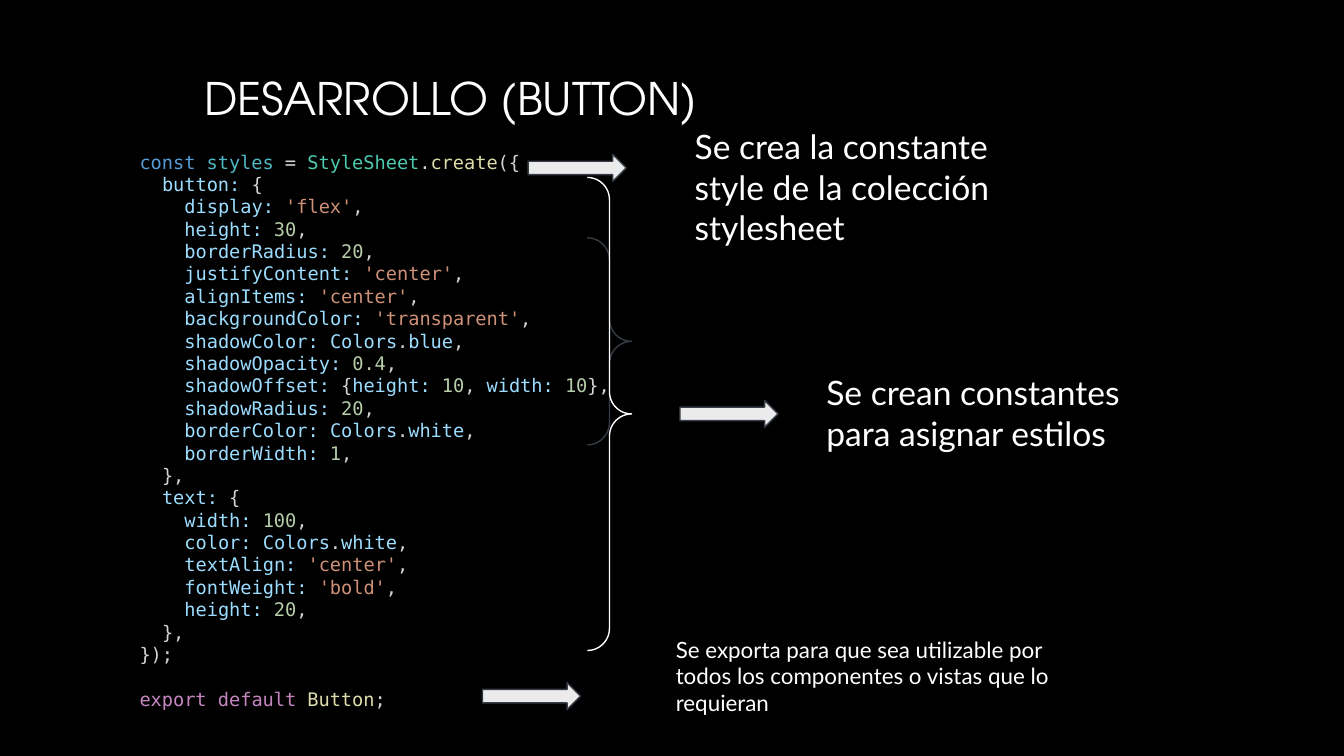
"""Build the slide that explains the button's style sheet."""
from dataclasses import dataclass

from pptx import Presentation
from pptx.dml.color import RGBColor
from pptx.enum.shapes import MSO_SHAPE
from pptx.util import Inches, Pt

TITLE = ("DESARROLLO (BUTTON)", (1.42, 0.43, 7.7, 1))
CALLOUTS = [
    ("Se crea la constante style de la colección stylesheet", (5.07, 0.84, 2.59, 0.65), 18),
    ("Se crean constantes para asignar estilos", (6.05, 2.67, 2.59, 0.65), 18),
    ("Se exporta para que sea utilizable por todos los componentes o vistas que lo requieran",
     (4.93, 4.63, 3.37, 0.92), 12),
]
ARROWS = [(3.93, 1.15), (5.06, 2.98), (3.59, 5.08)]
ARROW_SIZE = (0.73, 0.2)
BRACES = [((4.37, 1.77, 0.33, 1.54), "outline"), ((4.37, 1.32, 0.33, 3.52), "text")]

CODE_BOX = (0.94, 1.07, 5, 4.48)
DECLARATION = [("const ", "keyword"), ("styles", "constant"), (" = ", "plain"),
               ("StyleSheet", "class"), (".", "plain"), ("create", "function"), ("({", "plain")]
EXPORT = [("export default ", "control"), ("Button", "function"), (";", "plain")]
STYLES = {
    "button": {
        "display": "'flex'",
        "height": "30",
        "borderRadius": "20",
        "justifyContent": "'center'",
        "alignItems": "'center'",
        "backgroundColor": "'transparent'",
        "shadowColor": "Colors.blue",
        "shadowOpacity": "0.4",
        "shadowOffset": {"height": "10", "width": "10"},
        "shadowRadius": "20",
        "borderColor": "Colors.white",
        "borderWidth": "1",
    },
    "text": {
        "width": "100",
        "color": "Colors.white",
        "textAlign": "'center'",
        "fontWeight": "'bold'",
        "height": "20",
    },
}


@dataclass(frozen=True)
class Theme:
    """Colours, fonts and sizes of the slide."""
    colors = {
        "background": "000000", "text": "FFFFFF", "title_end": "A6A6A6",
        "arrow": "EBEBEB", "outline": "363D46",
        "keyword": "569CD6", "constant": "51B6C4", "plain": "D4D4D4", "class": "4EC9B0",
        "function": "DCDCAA", "property": "9CDCFE", "string": "CE9178", "number": "B5CEA8",
        "control": "C586C0",
    }
    title_font = "TeX Gyre Adventor"
    body_font = "Lato"
    code_font = "DejaVu Sans Mono"
    title_size = 24
    code_size = 10
    code_pitch = 12
    code_indent = 12.04
    line_width = 0.75

    def rgb(self, role):
        return RGBColor.from_string(self.colors[role])


THEME = Theme()


def setting(name, value):
    """Return the coloured tokens of one property and its value."""
    if isinstance(value, dict):
        (first, first_value), (second, second_value) = value.items()
        return [(f"{name}:", "property"), (" {", "plain"), *setting(first, first_value),
                (", ", "plain"), *setting(second, second_value), ("}", "plain")]
    if value.startswith("Colors."):
        owner, member = value.split(".")
        return [(f"{name}: {owner}", "property"), (".", "plain"), (member, "property")]
    return [(f"{name}: ", "property"), (value, "string" if value[0] == "'" else "number")]


def code_lines():
    """Return the depth and tokens of every line of code."""
    lines = [(0, DECLARATION)]
    for selector, settings in STYLES.items():
        lines.append((1, [(f"{selector}:", "property"), (" {", "plain")]))
        lines += [(2, setting(*pair) + [(",", "plain")]) for pair in settings.items()]
        lines.append((1, [("},", "plain")]))
    return lines + [(0, [("});", "plain")]), (0, EXPORT)]


def add_text(slide, box, margin=0.1):
    """Add an empty wrapping text box and return its frame."""
    frame = slide.shapes.add_textbox(*map(Inches, box)).text_frame
    frame.word_wrap = True
    frame.margin_left = frame.margin_right = Inches(0.1)
    frame.margin_top = frame.margin_bottom = Inches(margin)
    return frame


def write(frame, text, font_name, size):
    """Fill a frame with one paragraph and return its font."""
    frame.text = text
    font = frame.paragraphs[0].runs[0].font
    font.name, font.size = font_name, Pt(size)
    font.color.rgb = THEME.rgb("text")
    return font


def add_code(slide):
    """Add the listing with its syntax colours."""
    frame = add_text(slide, CODE_BOX, 0.05)
    for index, (depth, tokens) in enumerate(code_lines()):
        line = frame.add_paragraph() if index else frame.paragraphs[0]
        line.line_spacing = Pt(THEME.code_pitch)
        line.space_before = Pt(THEME.code_pitch if tokens is EXPORT else 0)
        properties = line._p.get_or_add_pPr()
        properties.set("marL", str(Pt(depth * THEME.code_indent)))
        properties.set("indent", "0")
        for text, role in tokens:
            token = line.add_run()
            token.text = text
            token.font.name, token.font.size = THEME.code_font, Pt(THEME.code_size)
            token.font.color.rgb = THEME.rgb(role)


def add_title(slide):
    """Add the heading with its fading fill."""
    text, box = TITLE
    font = write(add_text(slide, box), text, THEME.title_font, THEME.title_size)
    font.fill.gradient()
    font.fill.gradient_angle = 267
    for stop, role in zip(font.fill.gradient_stops, ("text", "title_end")):
        stop.color.rgb = THEME.rgb(role)


def add_mark(slide, preset, box, line_role):
    """Add an outlined brace or arrow without a shadow."""
    mark = slide.shapes.add_shape(preset, *map(Inches, box))
    mark.shadow.inherit = False
    mark.adjustments[0] = mark.adjustments[1] = 0.5
    mark.line.color.rgb = THEME.rgb(line_role)
    mark.line.width = Pt(THEME.line_width)
    mark.fill.background()
    return mark


def add_arrow(slide, corner):
    """Add a filled arrow at its top left corner."""
    arrow = add_mark(slide, MSO_SHAPE.RIGHT_ARROW, corner + ARROW_SIZE, "outline")
    arrow.fill.solid()
    arrow.fill.fore_color.rgb = THEME.rgb("arrow")


def main():
    """Assemble and save the slide."""
    deck = Presentation()
    deck.slide_width = Inches(10)
    deck.slide_height = deck.slide_width * 9 // 16
    slide = deck.slides.add_slide(deck.slide_layouts[6])
    slide.background.fill.solid()
    slide.background.fill.fore_color.rgb = THEME.rgb("background")

    add_code(slide)
    add_title(slide)
    for box, role in BRACES:
        add_mark(slide, MSO_SHAPE.RIGHT_BRACE, box, role)
    for corner in ARROWS:
        add_arrow(slide, corner)
    for text, box, size in CALLOUTS:
        write(add_text(slide, box), text, THEME.body_font, size)
    deck.save("out.pptx")


if __name__ == "__main__":
    main()
